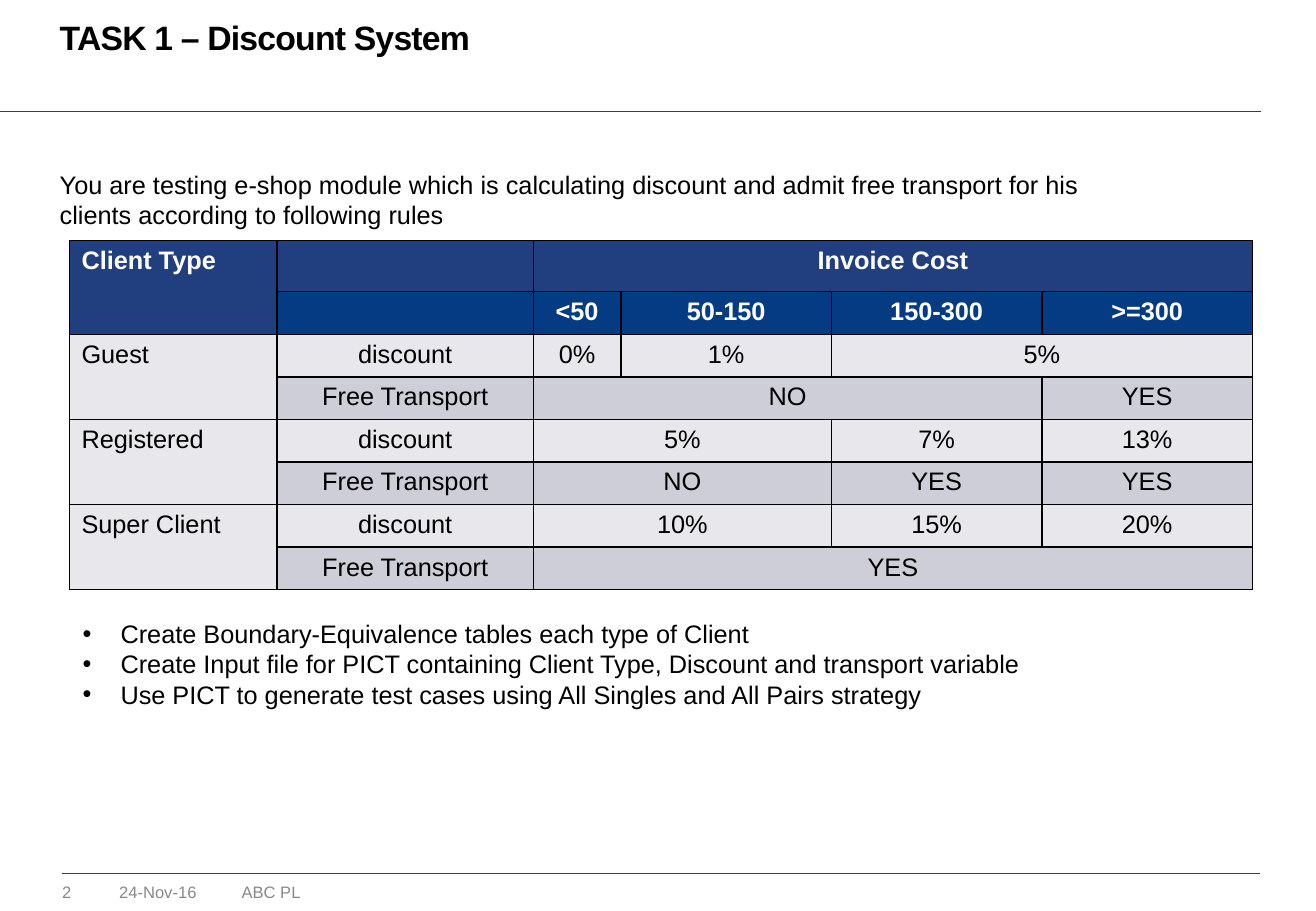
"""Build the discount system task slide."""
import lxml.etree
import pptx
import pptx.dml.color
import pptx.enum.shapes
import pptx.enum.text
import pptx.oxml.ns
import pptx.util

Cm = pptx.util.Cm
Pt = pptx.util.Pt
RGBColor = pptx.dml.color.RGBColor
qn = pptx.oxml.ns.qn

BLACK = RGBColor(0x00, 0x00, 0x00)
WHITE = RGBColor(0xFF, 0xFF, 0xFF)
GREY = RGBColor(0x89, 0x89, 0x89)
NAVY = RGBColor(0x21, 0x3E, 0x7F)
BLUE = RGBColor(0x04, 0x3B, 0x82)
PALE = RGBColor(0xE8, 0xE8, 0xEC)
SILVER = RGBColor(0xCD, 0xCE, 0xD8)

COLUMN_WIDTHS = [4.34, 5.36, 1.83, 4.4, 4.4, 4.4]
ROW_HEIGHTS = [1.07] + [0.89] * 7
RULES = [
    ["Client Type", "", "Invoice Cost", None, None, None],
    [None, "", "<50", "50-150", "150-300", ">=300"],
    ["Guest", "discount", "0%", "1%", "5%", None],
    [None, "Free Transport", "NO", None, None, "YES"],
    ["Registered", "discount", "5%", None, "7%", "13%"],
    [None, "Free Transport", "NO", None, "YES", "YES"],
    ["Super Client", "discount", "10%", None, "15%", "20%"],
    [None, "Free Transport", "YES", None, None, None],
]
TASKS = [
    "Create Boundary-Equivalence tables each type of Client",
    "Create Input file for PICT containing Client Type, Discount and transport variable",
    "Use PICT to generate test cases using All Singles and All Pairs strategy",
]
FOOTER = [("2", 1.3, 1), ("24-Nov-16", 2.49, 2.26), ("ABC PL", 5.05, 3.58)]


def set_font(para, size, color, bold=False):
    """Set the font of a whole paragraph."""
    para.font.name = "Arial"
    para.font.size = Pt(size)
    para.font.bold = bold
    para.font.color.rgb = color


def add_text(page, lines, left, top, width, height, size, color=BLACK, bold=False):
    """Add a text box without margins and return its paragraphs."""
    frame = page.shapes.add_textbox(Cm(left), Cm(top), Cm(width), Cm(height)).text_frame
    frame.word_wrap = True
    frame.margin_left = frame.margin_top = frame.margin_right = frame.margin_bottom = 0
    frame.text = "\n".join(lines)
    for para in frame.paragraphs:
        set_font(para, size, color, bold)
    return frame.paragraphs


def add_rule(page, left, right, top):
    """Add a thin horizontal line."""
    line = page.shapes.add_connector(
        pptx.enum.shapes.MSO_CONNECTOR.STRAIGHT, Cm(left), Cm(top), Cm(right), Cm(top))
    line.line.color.rgb = NAVY
    line.line.width = Pt(0.25)
    lxml.etree.SubElement(line._element.spPr, qn("a:effectLst"))


def add_bullet(para):
    """Give a paragraph a hanging round bullet."""
    properties = para._p.get_or_add_pPr()
    properties.set("marL", str(Cm(0.79)))
    properties.set("indent", str(-Cm(0.79)))
    properties.insert(0, lxml.etree.Element(qn("a:buFont"), typeface="Arial"))
    properties.insert(1, lxml.etree.Element(qn("a:buChar"), char="•"))


def add_borders(cell):
    """Draw a black line on all four sides of a cell."""
    properties = cell._tc.get_or_add_tcPr()
    for side in ("a:lnL", "a:lnR", "a:lnT", "a:lnB"):
        border = lxml.etree.SubElement(properties, qn(side), w=str(Pt(1)))
        fill = lxml.etree.SubElement(border, qn("a:solidFill"))
        lxml.etree.SubElement(fill, qn("a:srgbClr"), val=str(BLACK))


def cell_color(row, column):
    """Return the fill of a table cell."""
    if row < 2:
        return BLUE if row == 1 and column else NAVY
    return SILVER if row % 2 and column else PALE


def style_cell(cell, text, row, column):
    """Fill, frame and label one table cell."""
    add_borders(cell)
    cell.fill.solid()
    cell.fill.fore_color.rgb = cell_color(row, column)
    cell.margin_bottom = 0
    cell.text = text or ""
    para = cell.text_frame.paragraphs[0]
    header = row < 2
    set_font(para, 15, WHITE if header else BLACK, header)
    if column:
        para.alignment = pptx.enum.text.PP_ALIGN.CENTER


def merge_cells(table):
    """Join client cells in pairs of rows and values with the gaps after them."""
    for row, values in enumerate(RULES):
        if row % 2 == 0:
            table.cell(row, 0).merge(table.cell(row + 1, 0))
        starts = [i for i, value in enumerate(values) if i and value is not None]
        for start, end in zip(starts, starts[1:] + [len(values)]):
            if end - start > 1:
                table.cell(row, start).merge(table.cell(row, end - 1))


def add_rules_table(page):
    """Add the table of discount rules."""
    table = page.shapes.add_table(
        len(ROW_HEIGHTS), len(COLUMN_WIDTHS), Cm(1.45), Cm(5.03),
        Cm(sum(COLUMN_WIDTHS)), Cm(sum(ROW_HEIGHTS))).table
    for column, width in zip(table.columns, COLUMN_WIDTHS):
        column.width = Cm(width)
    for row, height in zip(table.rows, ROW_HEIGHTS):
        row.height = Cm(height)
    for row, values in enumerate(RULES):
        for column, text in enumerate(values):
            style_cell(table.cell(row, column), text, row, column)
    merge_cells(table)


def main():
    """Create and save the deck."""
    deck = pptx.Presentation()
    deck.slide_width, deck.slide_height = Cm(27.51), Cm(19.05)
    page = deck.slides.add_slide(deck.slide_layouts[6])
    add_rule(page, 1.3, 26.34, 18.26)
    add_rule(page, 0, 26.37, 2.33)
    for text, left, width in FOOTER:
        add_text(page, [text], left, 18.44, width, 0.42, 9.8, GREY)
    title = add_text(page, ["TASK 1 – Discount System"], 1.25, 0.43, 25.22, 0.78, 20, bold=True)[0]
    title.line_spacing = Pt(21.7)
    title.runs[0]._r.get_or_add_rPr().set("spc", "-50")
    add_text(page, [
        "You are testing e-shop module which is calculating discount and admit free transport "
        "for his clients according to following rules"], 1.25, 3.53, 22.5, 1.27, 15)
    add_rules_table(page)
    for para in add_text(page, TASKS, 1.73, 12.93, 20, 1.93, 15):
        add_bullet(para)
    deck.save("out.pptx")


if __name__ == "__main__":
    main()
